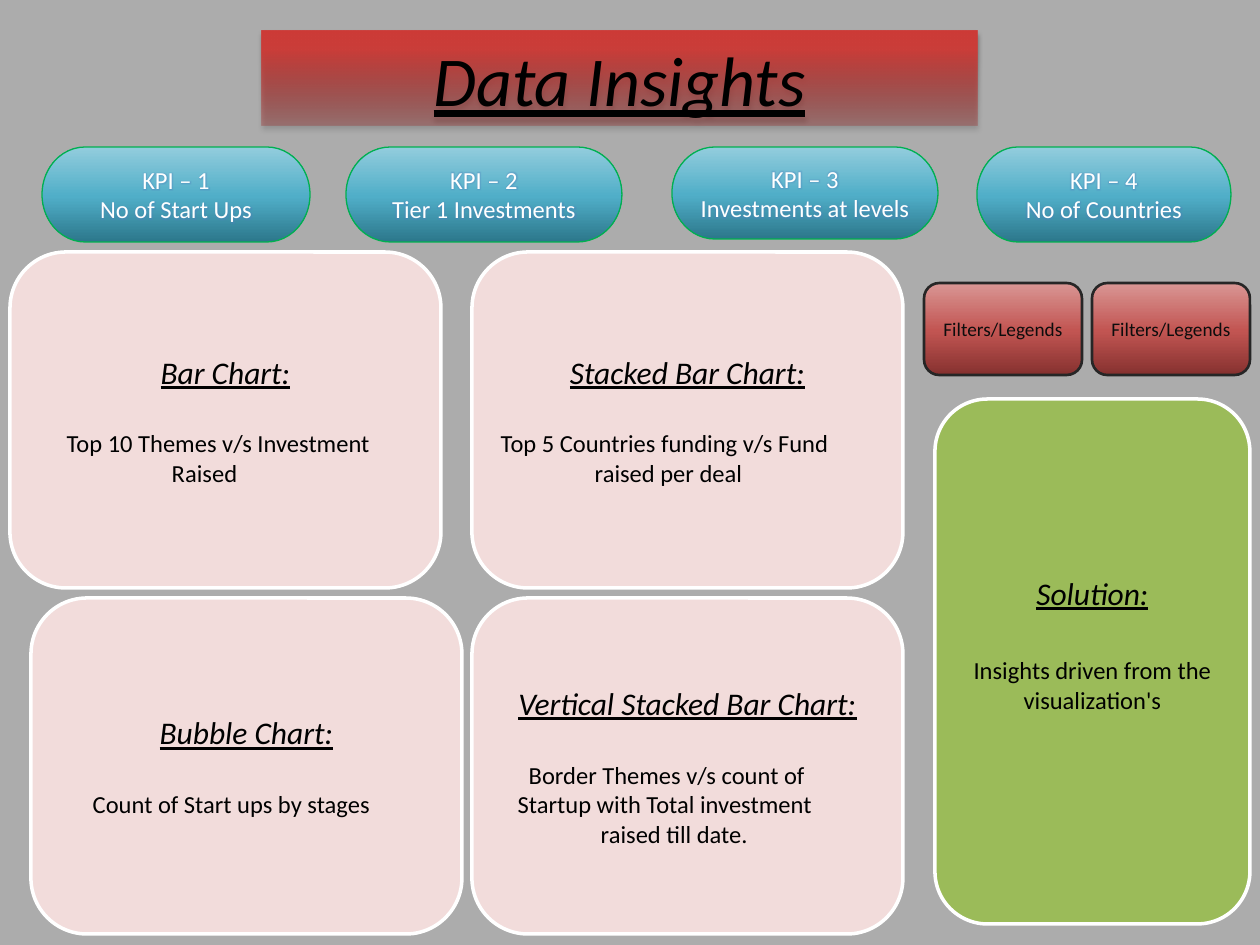
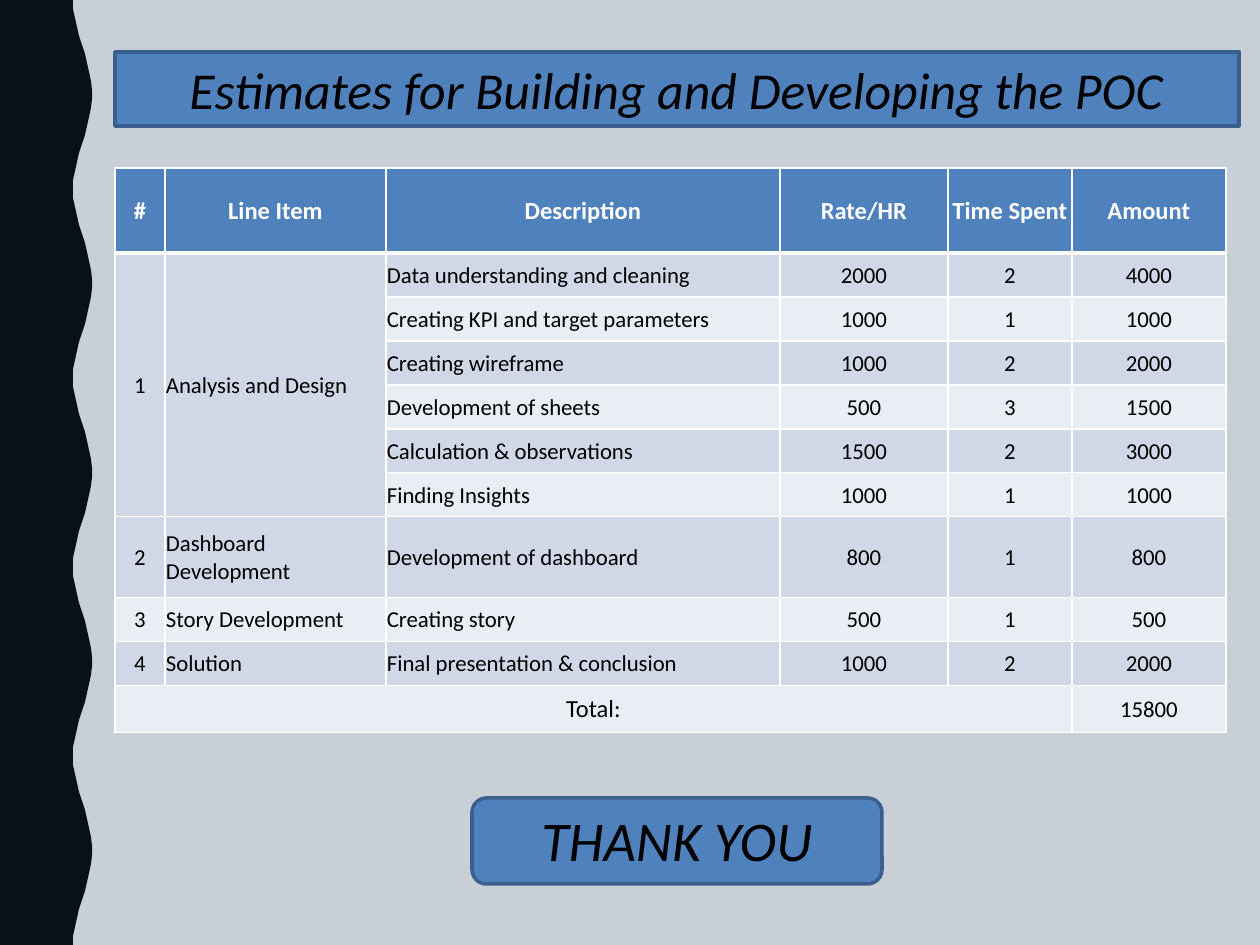
from dataclasses import dataclass
from math import cos, pi

from pptx import Presentation
from pptx.dml.color import RGBColor
from pptx.enum.shapes import MSO_SHAPE
from pptx.enum.text import MSO_ANCHOR, MSO_AUTO_SIZE, PP_ALIGN
from pptx.oxml import parse_xml
from pptx.oxml.ns import nsdecls, qn
from pptx.util import Emu, Pt

PIXEL = 914400 / 126
WIDTH, HEIGHT = 1260, 945


def px(length):
    return Emu(round(length * PIXEL))


def rgb(code):
    return RGBColor.from_string(code)


@dataclass(frozen=True)
class Theme:
    font: str = "Calibri"
    # Colours
    black: str = "000000"
    white: str = "FFFFFF"
    page_grey: str = "ACACAC"
    card: str = "F2DCDB"
    solution: str = "9BBB59"
    blue: str = "4F81BD"
    blue_edge: str = "3A5F8C"
    tint: str = "254061"
    kpi_edge: str = "00B050"
    filter_edge: str = "262626"
    filter_text: str = "0D0D0D"
    bands: tuple = ("E9EDF4", "D0D8E8")
    # Gradient stops from bottom to top: position, colour, opacity
    kpi_fill: tuple = ((0, "2C778B", 100), (48, "50AEC8", 100), (100, "93CDDD", 100))
    filter_fill: tuple = ((0, "85312F", 100), (48, "C25552", 100), (100, "D99694", 100))
    banner_fill: tuple = ((0, "9C2F2D", 35), (80, "CB3E3A", 100), (100, "CE3B37", 100))
    # Type sizes
    banner_size: float = 40
    title_size: float = 29.6
    closing_size: float = 32
    heading_size: float = 18
    body_size: float = 14
    cell_size: float = 13
    filter_size: float = 11


class Painter:
    def __init__(self, deck, theme):
        self.deck, self.theme, self.page = deck, theme, None

    def new_page(self, background=None):
        self.page = self.deck.slides.add_slide(self.deck.slide_layouts[5])
        if background:
            self.page.background.fill.solid()
            self.page.background.fill.fore_color.rgb = rgb(background)

    def paint(self, shape, fill, line=None, weight=0):
        """Fill with a colour or with gradient stops, then set the outline."""
        if isinstance(fill, str):
            shape.fill.solid()
            shape.fill.fore_color.rgb = rgb(fill)
        else:
            stops = "".join(
                f'<a:gs pos="{place * 1000}"><a:srgbClr val="{colour}">'
                f'<a:alpha val="{opacity * 1000}"/></a:srgbClr></a:gs>'
                for place, colour, opacity in fill)
            gradient = parse_xml(f'<a:gradFill {nsdecls("a")} rotWithShape="1"><a:gsLst>{stops}'
                                 '</a:gsLst><a:lin ang="16200000" scaled="0"/></a:gradFill>')
            shape.element.spPr.find(qn("a:prstGeom")).addnext(gradient)
        if line:
            shape.line.color.rgb = rgb(line)
            shape.line.width = Pt(weight)
        else:
            shape.line.fill.background()

    def shape(self, kind, box, fill, line=None, weight=0):
        shape = self.page.shapes.add_shape(kind, *map(px, box))
        shape.shadow.inherit = False
        self.paint(shape, fill, line, weight)
        shape.text_frame.word_wrap = True
        shape.text_frame.vertical_anchor = MSO_ANCHOR.MIDDLE
        return shape

    def style(self, para, size, colour, align=PP_ALIGN.CENTER, **looks):
        para.alignment = align
        for span in para.runs:
            span.font.name = self.theme.font
            span.font.size = Pt(size)
            span.font.color.rgb = rgb(colour)
            for name, value in looks.items():
                setattr(span.font, name, value)

    def caption(self, shape, text, size, spacing, underline=False):
        """One large italic line that rests on the bottom of its box."""
        frame = shape.text_frame
        frame.text = text
        frame.word_wrap = True
        frame.auto_size = MSO_AUTO_SIZE.NONE
        frame.vertical_anchor = MSO_ANCHOR.BOTTOM
        para = frame.paragraphs[0]
        para.line_spacing, para.space_after = spacing, Pt(6)
        self.style(para, size, self.theme.black, italic=True, underline=underline)

    def title(self, text, box, size, fill, line=None, weight=0, underline=False):
        title = self.page.shapes.title
        title.left, title.top, title.width, title.height = map(px, box)
        title.element.spPr.append(parse_xml(
            f'<a:prstGeom {nsdecls("a")} prst="roundRect"><a:avLst/></a:prstGeom>'))
        self.paint(title, fill, line, weight)
        self.caption(title, text, size, 0.8, underline)
        title.element.getparent().append(title.element)  # bring to front
        return title

    def drop_shadow(self, shape):
        shape.element.spPr.append(parse_xml(
            f'<a:effectLst {nsdecls("a")}><a:outerShdw blurRad="39370" dist="22860" dir="5400000">'
            '<a:srgbClr val="000000"><a:alpha val="35000"/></a:srgbClr></a:outerShdw></a:effectLst>'))

    def kpi(self, text, box):
        theme = self.theme
        pill = self.shape(MSO_SHAPE.FLOWCHART_TERMINATOR, box, theme.kpi_fill, theme.kpi_edge, 0.75)
        pill.text_frame.text = text
        for para in pill.text_frame.paragraphs:
            self.style(para, theme.body_size, theme.white)
            for span in para.runs:  # soft blue glow behind the letters
                span.font.fill._xPr.find(qn("a:solidFill")).addnext(parse_xml(
                    f'<a:effectLst {nsdecls("a")}><a:glow rad="45500"><a:srgbClr val="{theme.blue}">'
                    '<a:alpha val="35000"/></a:srgbClr></a:glow></a:effectLst>'))

    def filter_button(self, text, box):
        theme = self.theme
        button = self.shape(MSO_SHAPE.ROUNDED_RECTANGLE, box, theme.filter_fill, theme.filter_edge, 1.5)
        button.text_frame.text = text
        self.style(button.text_frame.paragraphs[0], theme.filter_size, theme.filter_text)

    def card(self, heading, lines, box, fill, gap=21.6):
        """Lines are (text, indent); an indent of None centres the line."""
        theme = self.theme
        card = self.shape(MSO_SHAPE.ROUNDED_RECTANGLE, box, fill, theme.white, 2)
        frame = card.text_frame
        frame.text = "\n".join([heading] + [text for text, _ in lines])
        head, *body = frame.paragraphs
        self.style(head, theme.heading_size, theme.black, italic=True, underline=True)
        body[0].space_before = Pt(gap)
        for para, (_, indent) in zip(body, lines):
            centred = indent is None
            self.style(para, theme.body_size, theme.black,
                       PP_ALIGN.CENTER if centred else PP_ALIGN.LEFT)
            if not centred:
                para._p.get_or_add_pPr().set("marL", str(px(indent)))
        return card

    def wavy_edge(self):
        """Dark strip whose right side is a cosine with five periods."""
        period = HEIGHT / 5
        curve = [(82.5 - 9.5 * cos(2 * pi * y / period), y) for y in range(0, HEIGHT + 1, 9)]
        builder = self.page.shapes.build_freeform(0, 0, scale=PIXEL)
        builder.add_line_segments(curve + [(0, HEIGHT)], close=True)
        strip = builder.convert_to_shape()
        strip.shadow.inherit = False
        self.paint(strip, self.theme.black)

    def veil(self, opacity):
        veil = self.shape(MSO_SHAPE.RECTANGLE, (0, 0, WIDTH, HEIGHT), self.theme.tint)
        colour = veil.element.spPr.find(qn("a:solidFill"))[0]
        colour.append(parse_xml(f'<a:alpha {nsdecls("a")} val="{opacity * 1000}"/>'))

    def cell(self, cell, text, fill, size, colour, align, bold=False, bottom=1):
        cell.text = text
        cell.vertical_anchor = MSO_ANCHOR.MIDDLE
        cell.margin_left = cell.margin_right = cell.margin_top = px(1)
        cell.margin_bottom = 0
        self.style(cell.text_frame.paragraphs[0], size, colour, align, bold=bold)
        properties = cell._tc.get_or_add_tcPr()
        for side, weight in (("L", 1), ("R", 1), ("T", 1), ("B", bottom)):
            properties.append(parse_xml(
                f'<a:ln{side} {nsdecls("a")} w="{Pt(weight)}"><a:solidFill>'
                f'<a:srgbClr val="{self.theme.white}"/></a:solidFill></a:ln{side}>'))
        cell.fill.solid()
        cell.fill.fore_color.rgb = rgb(fill)

    def table(self, corner, widths, heights, rows, merges):
        theme = self.theme
        box = (*corner, sum(widths), sum(heights))
        table = self.page.shapes.add_table(len(rows), len(widths), *map(px, box)).table
        for column, width in zip(table.columns, widths):
            column.width = px(width)
        for row, height in zip(table.rows, heights):
            row.height = px(height)
        last = len(rows) - 1
        for r, row in enumerate(rows):
            for c, text in enumerate(row):
                if r == 0:
                    self.cell(table.cell(r, c), text, theme.blue, theme.body_size, theme.white,
                              PP_ALIGN.CENTER, bold=True, bottom=3)
                    continue
                size = theme.body_size if (r, c) == (last, 0) else theme.cell_size
                align = PP_ALIGN.LEFT if c in (1, 2) else PP_ALIGN.CENTER
                self.cell(table.cell(r, c), text, theme.bands[r % 2], size, theme.black, align)
        for start, end in merges:
            table.cell(*start).merge(table.cell(*end))


theme = Theme()
deck = Presentation()
deck.slide_width, deck.slide_height = px(WIDTH), px(HEIGHT)
painter = Painter(deck, theme)

# Slide 1: dashboard wireframe
painter.new_page(theme.page_grey)
banner = painter.title("Data Insights", (262, 31, 715, 95), theme.banner_size,
                       theme.banner_fill, underline=True)
painter.drop_shadow(banner)

KPIS = [("No of Start Ups", 42, 268, 95), ("Tier 1 Investments", 346, 276, 95),
        ("Investments at levels", 672, 266, 92), ("No of Countries", 977, 254, 95)]
for number, (name, left, width, height) in enumerate(KPIS, 1):
    painter.kpi(f"KPI – {number}\n{name}", (left, 147, width, height))

CARDS = [
    ("Bar Chart:", 10, 252, [("Top 10 Themes v/s Investment", 28), ("Raised", 133)]),
    ("Stacked Bar Chart:", 472, 252, [("Top 5 Countries funding v/s Fund", 0), ("raised per deal", 94)]),
    ("Bubble Chart:", 31, 598, [("Count of Start ups by stages", 33)]),
    ("Vertical Stacked Bar Chart:", 472, 598,
     [("Border Themes v/s count of", 28), ("Startup with Total investment", 17),
      ("raised till date.", 100)]),
]
for heading, left, top, lines in CARDS:
    painter.card(heading, lines, (left, top, 431, 336), theme.card)

for left in (924, 1092):
    painter.filter_button("Filters/Legends", (left, 283, 158, 92))
solution = painter.card("Solution:", [("Insights driven from the visualization's", None)],
                        (935, 399, 315, 525), theme.solution, gap=25)
solution.text_frame.margin_bottom = px(41)

# Slide 2: cost estimates
painter.new_page()
painter.wavy_edge()
painter.veil(25)
painter.title("Estimates for Building and Developing the POC", (115, 52, 1124, 74),
              theme.title_size, theme.blue, theme.blue_edge, 2)

ROWS = [
    ("#", "Line Item", "Description", "Rate/HR", "Time Spent", "Amount"),
    ("1", "Analysis and Design", "Data understanding and cleaning", "2000", "2", "4000"),
    ("", "", "Creating KPI and target parameters", "1000", "1", "1000"),
    ("", "", "Creating wireframe", "1000", "2", "2000"),
    ("", "", "Development of sheets", "500", "3", "1500"),
    ("", "", "Calculation & observations", "1500", "2", "3000"),
    ("", "", "Finding Insights", "1000", "1", "1000"),
    ("2", "Dashboard Development", "Development of dashboard", "800", "1", "800"),
    ("3", "Story Development", "Creating story", "500", "1", "500"),
    ("4", "Solution", "Final presentation & conclusion", "1000", "2", "2000"),
    ("Total:", "", "", "", "", "15800"),
]
painter.table((115, 168), (50, 221, 394, 168, 124, 154), [85] + [44] * 6 + [81, 44, 44, 47], ROWS,
              merges=[((1, 0), (6, 0)), ((1, 1), (6, 1)), ((10, 0), (10, 4))])

closing = painter.shape(MSO_SHAPE.ROUNDED_RECTANGLE, (472, 798, 410, 86),
                        theme.blue, theme.blue_edge, 2)
painter.caption(closing, "THANK YOU", theme.closing_size, 0.9)

deck.save("out.pptx")
